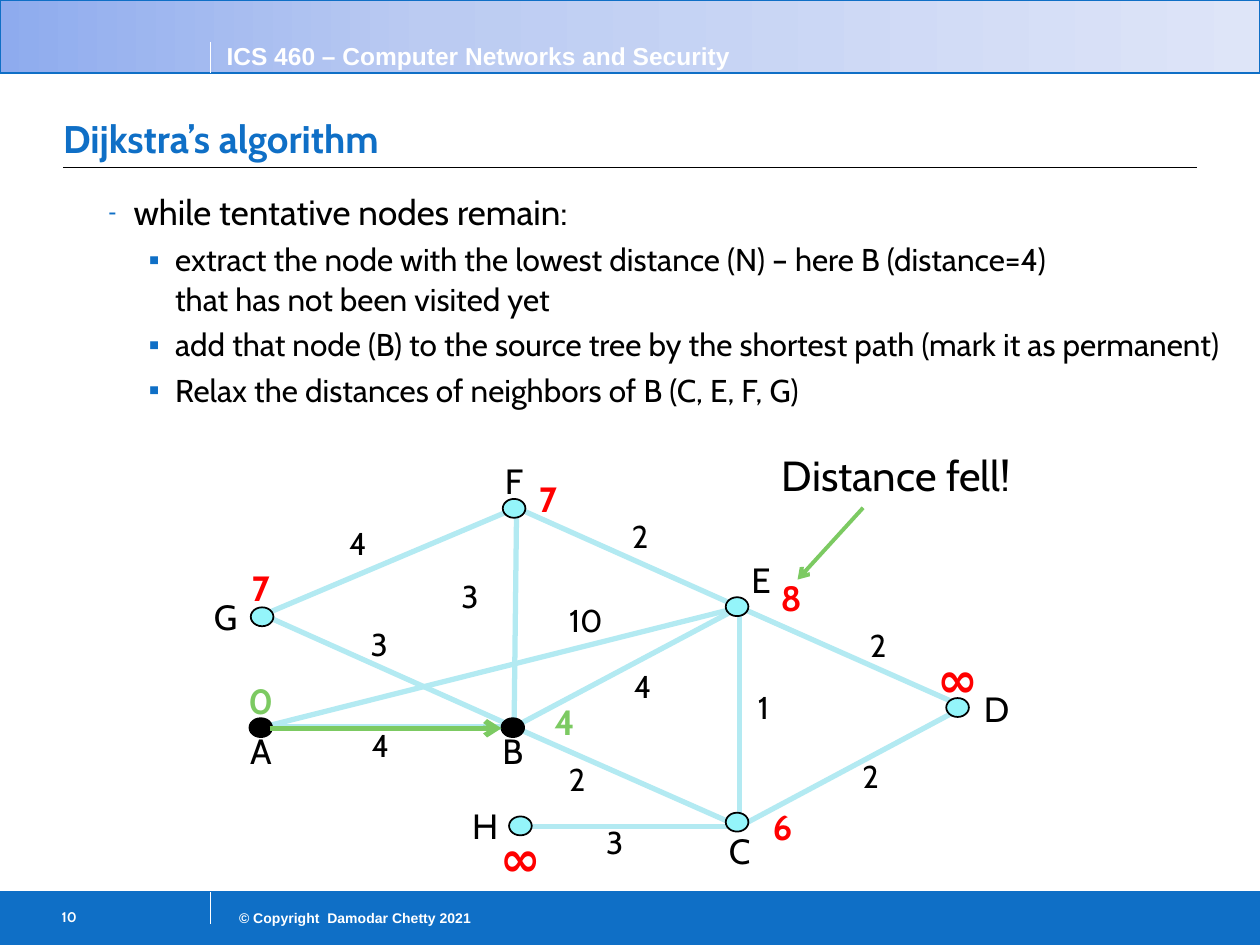
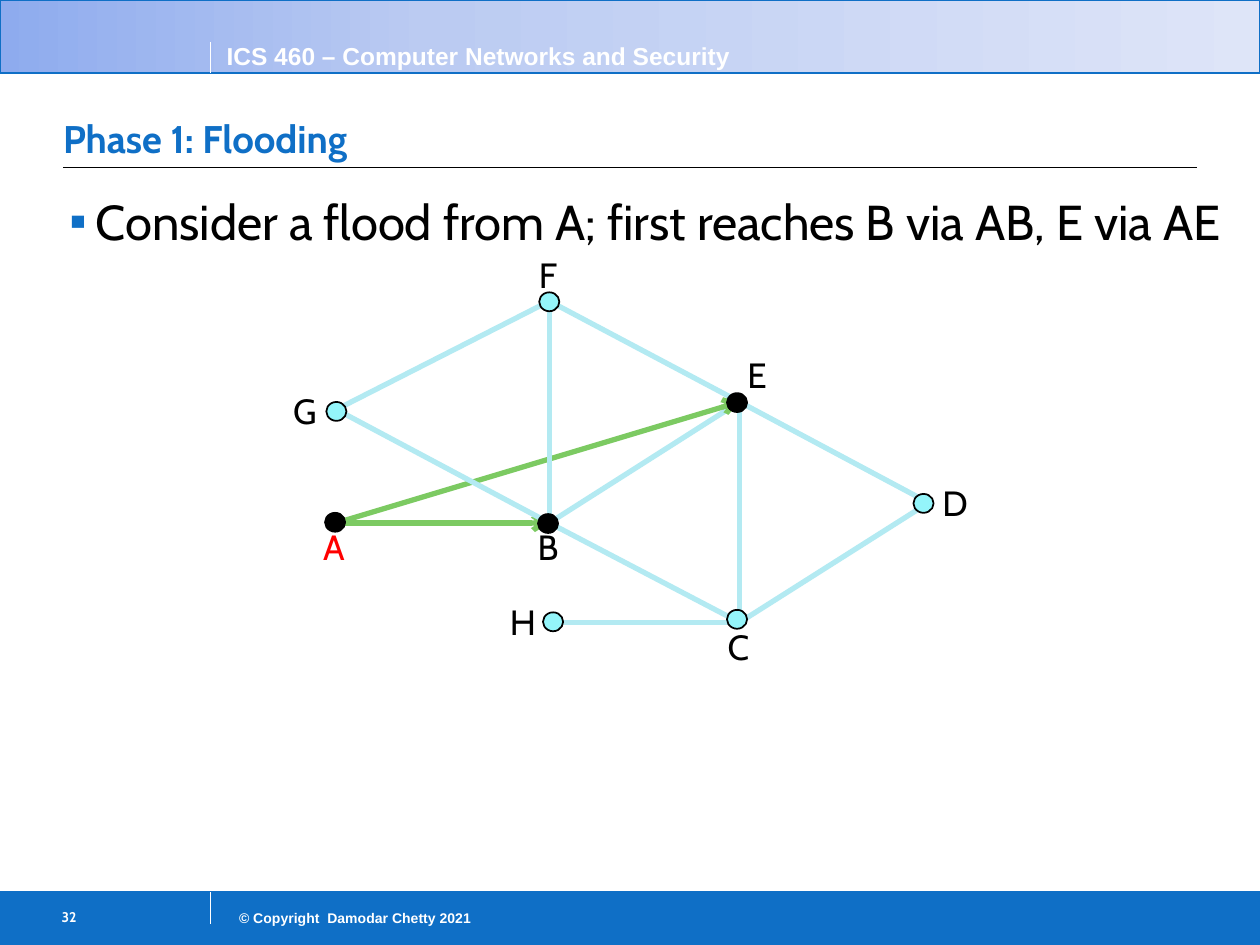
from lxml.etree import SubElement
from pptx import Presentation
from pptx.dml.color import RGBColor
from pptx.enum.shapes import MSO_CONNECTOR as CONN, MSO_SHAPE as SHAPE
from pptx.enum.text import MSO_ANCHOR as ANCHOR, MSO_AUTO_SIZE as FIT, PP_ALIGN as ALIGN
from pptx.oxml.ns import qn
from pptx.util import Emu, Pt

PX = 9144
BLUE, BLACK, WHITE = "0F6FC6", "000000", "FFFFFF"
EDGE, NODE, GREEN, RED = "B3EAF2", "94F5FA", "7CCA62", "FF0000"
BAND = [(0, "8EABEE"), (34, "BBCBF2"), (100, "DEE5F8")]
EDGES = ["AB", "BC", "CE", "BE", "AE", "BF", "BG", "GF", "FE", "ED", "CD", "CH"]
BULLETS = {0: (21, -21, "▪", 100), 1: (51, -20, "-", 70), 2: (84, -21, "▪", 100)}


def px(*lengths):
    return [Emu(n * PX) for n in lengths]


def rgb(color):
    return RGBColor.from_string(color)


def write(p, text, size=20, color=BLACK, bold=False, font="Cabin",
          align=ALIGN.LEFT, spacing=1.0):
    p.text = text
    p.alignment, p.line_spacing = align, spacing
    for br in p._p.iter(qn("a:br")):
        SubElement(br, qn("a:rPr"), sz=str(size * 100))
    for r in p.runs:
        f = r.font
        f.name, f.size, f.bold = font, Pt(size), bold
        f.color.rgb = rgb(color)


class Deck:
    """Holds the shared style and the current slide."""

    def __init__(self):
        self.prs = Presentation()
        self.prs.slide_width, self.prs.slide_height = px(1000, 750)
        self.s = None

    def slide(self, title, number):
        self.s = self.prs.slides.add_slide(self.prs.slide_layouts[1])
        self.rect(0, 708, 1000, 42, BLUE)
        self.gradient(self.rect(0, 0, 1000, 58, BLUE), BAND)
        self.text("© Copyright  Damodar Chetty 2021", (167, 717, 217, 24), size=8,
                  color=WHITE, bold=True, font="Arial", align=ALIGN.RIGHT)
        self.text("ICS 460 – Computer Networks and Security", (170, 28, 430, 34),
                  size=14, color=WHITE, bold=True, font="Arial")
        self.text(number, (33, 714, 133, 35), ins=(16, 7, 10, 5), size=8,
                  color=WHITE, bold=True)
        for y in (58, 708):
            self.line((0, y), (1000, y), BLUE, 0.5)
        self.line((50, 133), (950, 133), BLACK, 0.75)
        for bottom in (733, 58):
            self.line((167, bottom), (167, bottom - 25), WHITE, 0.75)
        tf = self.place(self.s.shapes.title, (50, 61, 900, 72), (0, 5, 0, 5),
                        ANCHOR.BOTTOM)
        write(tf.paragraphs[0], title, size=22, color=BLUE, bold=True)

    def place(self, sp, box, ins, anchor=ANCHOR.TOP):
        sp.left, sp.top, sp.width, sp.height = px(*box)
        tf = sp.text_frame
        tf.word_wrap, tf.vertical_anchor = True, anchor
        tf.auto_size = FIT.NONE
        tf.margin_left, tf.margin_top, tf.margin_right, tf.margin_bottom = px(*ins)
        return tf

    def text(self, text, box, ins=(10, 5, 10, 5), anchor=ANCHOR.TOP, **fmt):
        sp = self.s.shapes.add_textbox(*px(*box))
        write(self.place(sp, box, ins, anchor).paragraphs[0], text, **fmt)

    def label(self, text, x, y, **fmt):
        self.text(text, (x - 30, y - 22, 60, 44), (0, 0, 0, 0), ANCHOR.MIDDLE,
                  align=ALIGN.CENTER, **fmt)

    def body(self, items):
        tf = self.place(self.s.placeholders[1], (50, 145, 950, 539), (5, 5, 5, 5))
        for i, (level, size, text) in enumerate(items):
            p = tf.add_paragraph() if i else tf.paragraphs[0]
            p.level = level
            write(p, text, size=size, spacing=1.04)
            p.space_before = Pt(size * 0.2 if i else 0)
            self.bullet(p, *BULLETS[level])

    def bullet(self, p, margin, indent, char, percent):
        pPr = p._p.get_or_add_pPr()
        pPr.set("marL", str(margin * PX))
        pPr.set("indent", str(indent * PX))
        SubElement(SubElement(pPr, qn("a:buClr")), qn("a:srgbClr"), val=BLUE)
        SubElement(pPr, qn("a:buSzPct"), val=str(percent * 1000))
        SubElement(pPr, qn("a:buFont"), typeface="Arial")
        SubElement(pPr, qn("a:buChar"), char=char)

    def rect(self, x, y, w, h, fill, line=BLUE, width=0.75, kind=SHAPE.RECTANGLE):
        sp = self.s.shapes.add_shape(kind, *px(x, y, w, h))
        sp.shadow.inherit = False
        sp.fill.solid()
        sp.fill.fore_color.rgb = rgb(fill)
        sp.line.color.rgb, sp.line.width = rgb(line), Pt(width)
        return sp

    def gradient(self, sp, stops):
        sp.fill.gradient()
        sp.fill.gradient_angle = 0
        gs_list = sp._element.spPr.find(".//" + qn("a:gsLst"))
        for gs in list(gs_list):
            gs_list.remove(gs)
        for pos, color in stops:
            gs = SubElement(gs_list, qn("a:gs"), pos=str(pos * 1000))
            SubElement(gs, qn("a:srgbClr"), val=color)

    def line(self, start, end, color, width, arrow=False):
        c = self.s.shapes.add_connector(CONN.STRAIGHT, *px(*start, *end))
        c.line.color.rgb, c.line.width = rgb(color), Pt(width)
        spPr = c._element.spPr
        if arrow:
            SubElement(spPr.find(qn("a:ln")), qn("a:tailEnd"), type="arrow")
        SubElement(spPr, qn("a:effectLst"))

    def graph(self, nodes, width, visited, arrows=(), red=""):
        for a, b in EDGES:
            used = a + b in arrows
            self.line(nodes[a][0], nodes[b][0], GREEN if used else EDGE, 3, used)
        for name, (_, (x, y), _) in nodes.items():
            self.rect(x - width // 2, y - 7, width, 15,
                      BLACK if name in visited else NODE, BLACK, 1, SHAPE.OVAL)
        for name, (_, _, at) in nodes.items():
            self.label(name, *at, color=RED if name in red else BLACK)


def dijkstra(deck):
    deck.slide("Dijkstra’s algorithm", "10")
    deck.body([
        (1, 20, "while tentative nodes remain:"),
        (2, 18, "extract the node with the lowest distance (N) – here B (distance=4)"
                "\vthat has not been visited yet"),
        (2, 18, "add that node (B) to the source tree by the shortest path "
                "(mark it as permanent)"),
        (2, 18, "Relax the distances of neighbors of B (C, E, F, G)"),
    ])
    deck.graph({
        "A": ((209, 577), (207, 577), (207, 596)),
        "B": ((408, 577), (407, 577), (407, 596)),
        "C": ((587, 656), (585, 652), (587, 675)),
        "D": ((765, 561), (760, 561), (791, 562)),
        "E": ((587, 482), (585, 481), (604, 460)),
        "F": ((410, 403), (408, 403), (408, 381)),
        "G": ((209, 488), (208, 489), (179, 489)),
        "H": ((408, 656), (413, 655), (385, 655)),
    }, 18, "AB")
    for weight, x, y in [("2", 508, 425), ("1", 606, 561), ("10", 465, 492),
                         ("2", 691, 616), ("2", 697, 512), ("4", 510, 544),
                         ("2", 458, 618), ("4", 302, 591), ("4", 284, 431),
                         ("3", 301, 511), ("3", 373, 473), ("3", 488, 668)]:
        deck.label(weight, x, y, size=18)
    for distance, x, y, color in [("0", 207, 556, GREEN), ("8", 628, 474, RED),
                                  ("4", 448, 573, GREEN), ("6", 621, 656, RED),
                                  ("7", 435, 396, RED), ("7", 207, 466, RED)]:
        deck.label(distance, x, y, color=color, bold=True)
    for x, y in [(760, 538), (413, 680)]:
        deck.label("∞", x, y, size=28, color=RED, bold=True)
    deck.line((214, 578), (398, 578), GREEN, 3, True)
    deck.line((685, 403), (633, 460), GREEN, 2.25, True)
    deck.text("Distance fell!", (572, 360, 279, 43), size=24, align=ALIGN.CENTER,
              spacing=0.8)


def flooding(deck):
    deck.slide("Phase 1: Flooding", "32")
    deck.body([(0, 28, "Consider a flood from A; first reaches B via AB, E via AE")])
    deck.graph({
        "A": ((267, 415), (266, 414), (265, 434)),
        "B": ((436, 415), (435, 415), (435, 434)),
        "C": ((587, 494), (585, 491), (586, 513)),
        "D": ((737, 399), (733, 399), (758, 399)),
        "E": ((587, 319), (585, 319), (601, 297)),
        "F": ((436, 239), (436, 239), (435, 218)),
        "G": ((267, 325), (267, 326), (242, 326)),
        "H": ((436, 494), (439, 493), (415, 493)),
    }, 16, "ABE", ("AB", "AE"), "A")


def main():
    deck = Deck()
    dijkstra(deck)
    flooding(deck)
    deck.prs.save("out.pptx")


if __name__ == "__main__":
    main()
